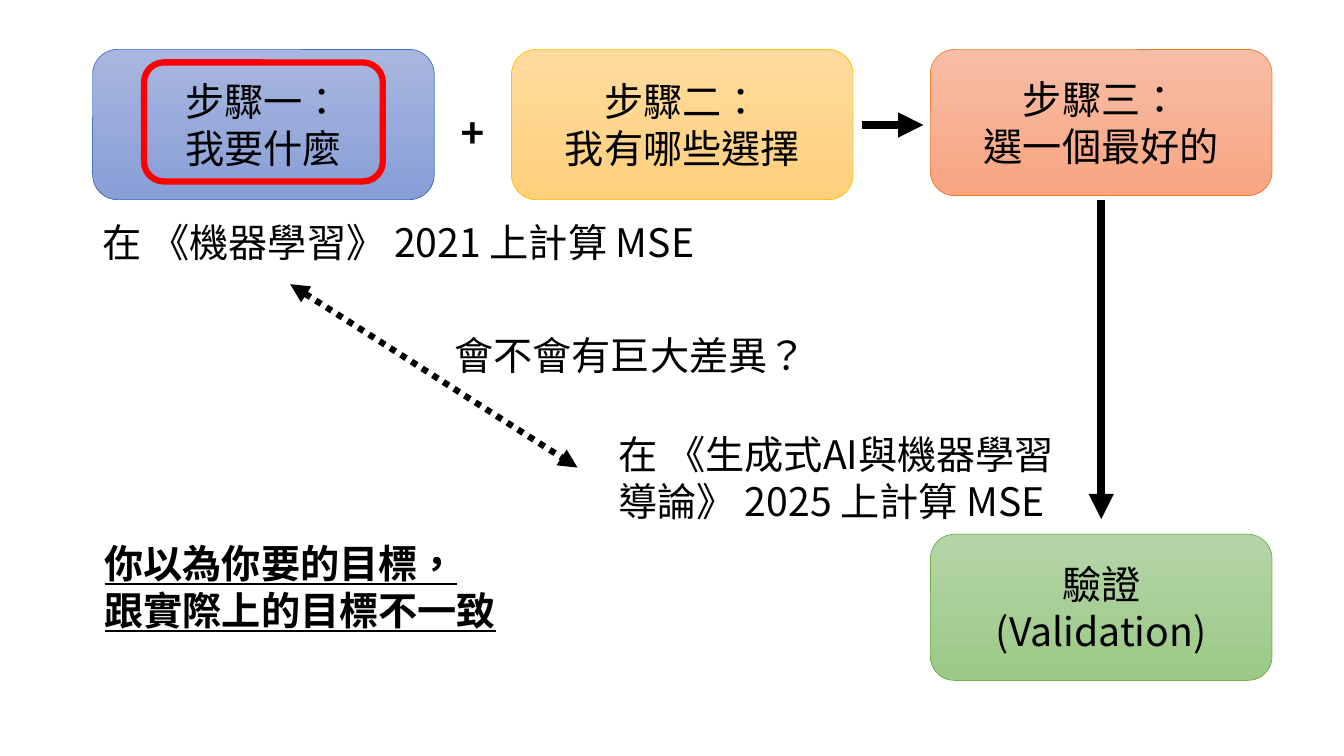
from lxml.etree import SubElement
from pptx import Presentation
from pptx.dml.color import RGBColor
from pptx.enum.dml import MSO_LINE
from pptx.enum.shapes import MSO_CONNECTOR, MSO_SHAPE
from pptx.enum.text import MSO_ANCHOR, PP_ALIGN
from pptx.oxml.ns import qn
from pptx.util import Pt

COLORS = {
    "ink": "000000",
    "highlight": "FF0000",
    "blue": ("A8B7DF", "889ED7", "4472C4"),
    "gold": ("FFDB9E", "FFD07C", "FFC000"),
    "orange": ("F7BDA5", "F8A582", "ED7D31"),
    "green": ("B5D5A7", "9CC987", "70AD47"),
}
FONT = "Noto Sans CJK SC"
CARD_W = 244
STEPS = [
    ("blue", 107.3, ["步驟一：", "我要什麼"]),
    ("gold", 107.3, ["步驟二：", "我有哪些選擇"]),
    ("orange", 104.4, ["步驟三：", "選一個最好的"]),
]


def rgb(value):
    return RGBColor.from_string(value)


def write(tf, lines, size=28, font=FONT, bold=False, underline=False,
          align=PP_ALIGN.LEFT):
    tf.word_wrap = True
    for i, line in enumerate(lines):
        p = tf.paragraphs[0] if i == 0 else tf.add_paragraph()
        p.alignment = align
        r = p.add_run()
        r.text = line
        r.font.size = Pt(size)
        r.font.bold = bold
        r.font.underline = underline
        r.font.color.rgb = rgb(COLORS["ink"])
        r.font.name = font
        rPr = r._r.get_or_add_rPr()
        rPr.set("lang", "zh-TW")
        SubElement(rPr, qn("a:ea")).set("typeface", font)


def add_label(slide, x, y, w, h, lines, **fmt):
    sp = slide.shapes.add_textbox(Pt(x), Pt(y), Pt(w), Pt(h))
    write(sp.text_frame, lines, **fmt)


def add_round_rect(slide, x, y, w, h, line, width):
    sp = slide.shapes.add_shape(MSO_SHAPE.ROUNDED_RECTANGLE,
                                Pt(x), Pt(y), Pt(w), Pt(h))
    sp.shadow.inherit = False
    sp.line.color.rgb = rgb(line)
    sp.line.width = Pt(width)
    return sp


def add_card(slide, x, y, w, h, color, lines):
    top, bottom, line = COLORS[color]
    sp = add_round_rect(slide, x, y, w, h, line, 0.5)
    sp.fill.gradient()
    sp.fill.gradient_angle = 270
    for stop, shade, position in zip(sp.fill.gradient_stops, (top, bottom), (0, 1)):
        stop.color.rgb = rgb(shade)
        stop.position = position
    sp.text_frame.vertical_anchor = MSO_ANCHOR.MIDDLE
    write(sp.text_frame, lines, align=PP_ALIGN.CENTER)


def add_arrow(slide, x1, y1, x2, y2, width=6, dash=None, ends=("tailEnd",)):
    c = slide.shapes.add_connector(MSO_CONNECTOR.STRAIGHT,
                                   Pt(x1), Pt(y1), Pt(x2), Pt(y2))
    c.line.color.rgb = rgb(COLORS["ink"])
    c.line.width = Pt(width)
    if dash:
        c.line.dash_style = dash
    for end in ends:
        SubElement(c.line._get_or_add_ln(), qn("a:" + end)).set("type", "triangle")
    SubElement(c._element.spPr, qn("a:effectLst"))


def add_steps(slide, x, y, w):
    pitch = (w - CARD_W) / (len(STEPS) - 1)
    for i, (color, h, lines) in enumerate(STEPS):
        add_card(slide, x + i * pitch, y, CARD_W, h, color, lines)
    add_label(slide, x + CARD_W - 5.7, y + 34.5, 66.2, 46, ["+"], size=32,
              font="Calibri", bold=True, align=PP_ALIGN.CENTER)
    add_arrow(slide, x + pitch + CARD_W + 6, y + 54, x + 2 * pitch - 5, y + 54)
    sp = add_round_rect(slide, x + 36.7, y + 9.3, 170.6, 85,
                        COLORS["highlight"], 4.5)
    sp.fill.background()


def add_validation(slide, x, y, w, h):
    card_h = 104.4
    card_y = y + h - card_h
    add_arrow(slide, x + w / 2, y, x + w / 2, card_y - 10.8)
    add_card(slide, x, card_y, w, card_h, "green", ["驗證", "(Validation)"])


def add_comparison(slide, x, y):
    add_label(slide, x, y, 465, 41, ["在 《機器學習》 2021 上計算 MSE"])
    add_label(slide, x + 368.6, y + 151.2, 348.5, 75,
              ["在 《生成式AI與機器學習導論》 2025 上計算 MSE"])
    add_label(slide, x + 1.4, y + 229, 304.6, 75,
              ["你以為你要的目標，", "跟實際上的目標不一致"],
              bold=True, underline=True)
    add_arrow(slide, x + 141.1, y + 50.4, x + 346.3, y + 181.4, width=4.5,
              dash=MSO_LINE.ROUND_DOT, ends=("headEnd", "tailEnd"))
    add_label(slide, x + 251.3, y + 80.6, 324.7, 41, ["會不會有巨大差異？"])


def main():
    prs = Presentation()
    prs.slide_width, prs.slide_height = Pt(960), Pt(540)
    slide = prs.slides.add_slide(prs.slide_layouts[6])
    add_steps(slide, 66.2, 35.3, 842.4)
    add_validation(slide, 664.6, 142.6, CARD_W, 343.4)
    add_comparison(slide, 66.2, 152.6)
    prs.save("out.pptx")


if __name__ == "__main__":
    main()
